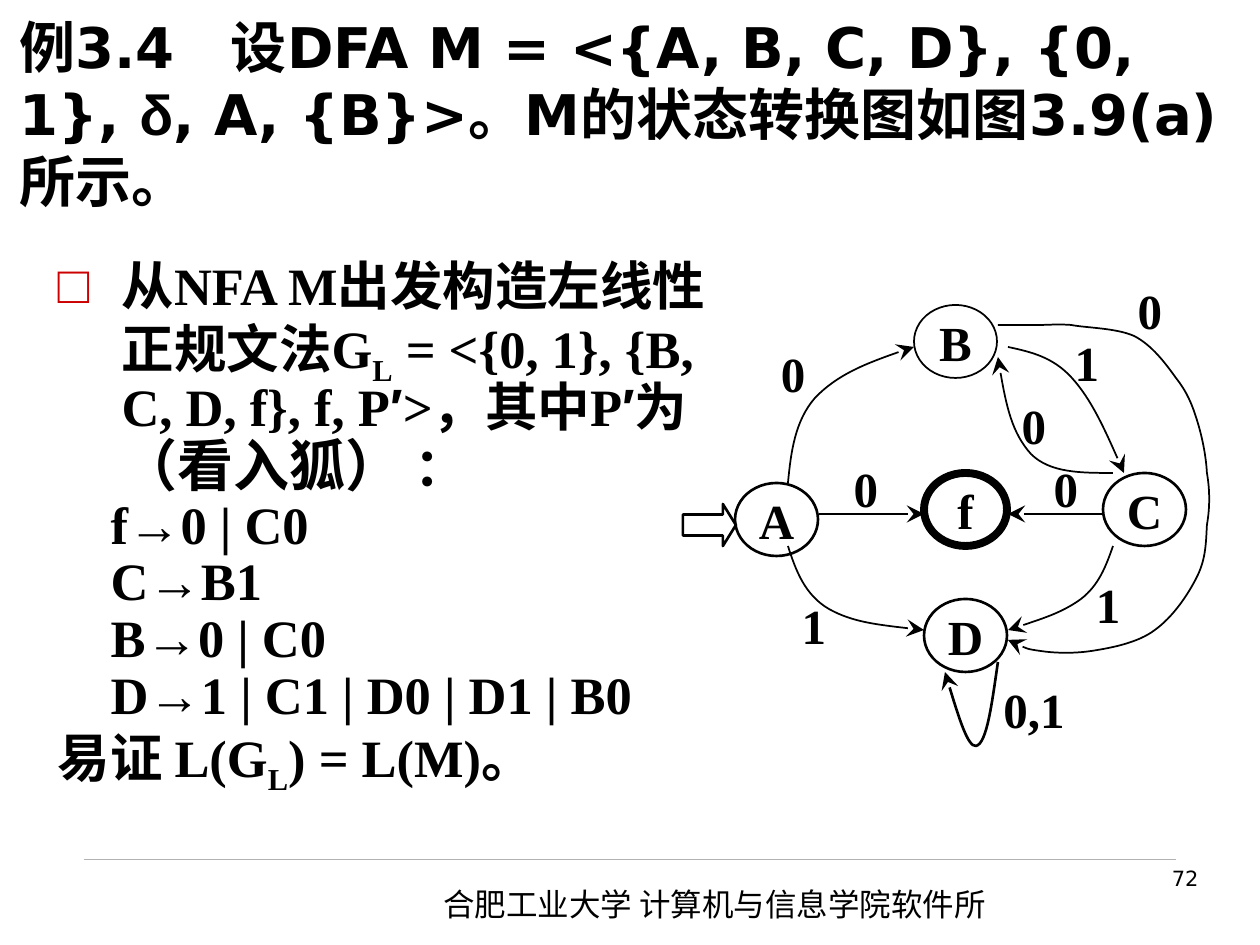
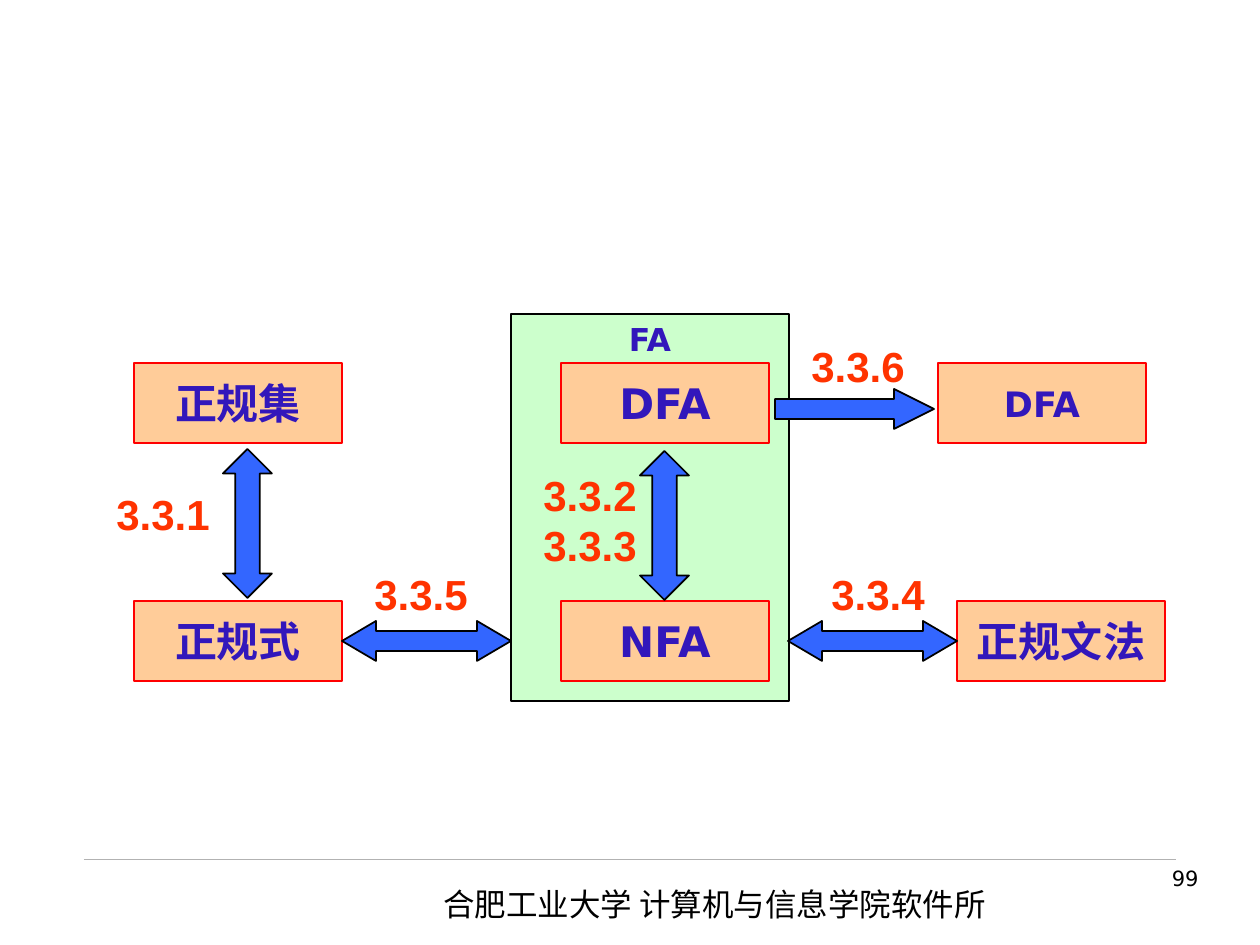
from dataclasses import dataclass

from lxml import etree
from pptx import Presentation
from pptx.dml.color import RGBColor
from pptx.enum.shapes import MSO_CONNECTOR, MSO_SHAPE
from pptx.enum.text import MSO_ANCHOR, MSO_AUTO_SIZE, PP_ALIGN
from pptx.oxml.ns import qn
from pptx.util import Pt

SCALE = 914400 / 126
STRAIGHT = MSO_CONNECTOR.STRAIGHT
RECTANGLE, OVAL = MSO_SHAPE.RECTANGLE, MSO_SHAPE.OVAL
RIGHT_ARROW = MSO_SHAPE.RIGHT_ARROW
LEFT_RIGHT_ARROW, UP_DOWN_ARROW = MSO_SHAPE.LEFT_RIGHT_ARROW, MSO_SHAPE.UP_DOWN_ARROW
TOP, MIDDLE, BOTTOM = MSO_ANCHOR.TOP, MSO_ANCHOR.MIDDLE, MSO_ANCHOR.BOTTOM
LEFT, CENTER, RIGHT = PP_ALIGN.LEFT, PP_ALIGN.CENTER, PP_ALIGN.RIGHT


@dataclass(frozen=True)
class Theme:
    black: str = "000000"
    rule: str = "B2B2B2"
    bullet: str = "CC0000"
    panel: str = "CCFFCC"
    box: str = "FFCC99"
    box_line: str = "FF0000"
    box_text: str = "3217BB"
    arrow: str = "3366FF"
    section: str = "FF3300"
    sans: str = "DejaVu Sans"
    serif: str = "Times New Roman"
    arial: str = "Arial"
    chinese: str = "Noto Sans CJK SC"
    title_size: int = 32
    body_size: int = 30
    aside_size: int = 32
    state_size: int = 28
    box_size: int = 24
    small_box_size: int = 20
    footer_size: int = 18
    number_size: int = 12


theme = Theme()


def px(*lengths):
    """Turn pixel lengths into EMU."""
    return [round(length * SCALE) for length in lengths]


def add_shape(slide, kind, box, lines=(), font=theme.serif, size=theme.state_size,
              color=theme.black, bold=True, align=CENTER, anchor=MIDDLE, wrap=False,
              fill=None, line=theme.black, width=1, adjustments=()):
    """Add a preset shape, or a text box when kind is None, with one run per line."""
    if kind is None:
        shape = slide.shapes.add_textbox(*px(*box))
    else:
        shape = slide.shapes.add_shape(kind, *px(*box))
        shape.shadow.inherit = False
        shape.line.color.rgb = RGBColor.from_string(line)
        shape.line.width = Pt(width)
        for index, value in enumerate(adjustments):
            shape.adjustments[index] = value
        if fill:
            shape.fill.solid()
            shape.fill.fore_color.rgb = RGBColor.from_string(fill)
        else:
            shape.fill.background()
    frame = shape.text_frame
    frame.word_wrap = wrap
    frame.vertical_anchor = anchor
    for index, text in enumerate(lines):
        paragraph = frame.add_paragraph() if index else frame.paragraphs[0]
        paragraph.alignment = align
        run = paragraph.add_run()
        run.text = text
        run.font.name, run.font.size, run.font.bold = font, Pt(size), bold
        run.font.color.rgb = RGBColor.from_string(color)
    return shape


presentation = Presentation()
presentation.slide_width, presentation.slide_height = px(1260, 945)
layouts = presentation.slide_layouts
example_slide = presentation.slides.add_slide(layouts[1])
overview_slide = presentation.slides.add_slide(layouts[6])
connectors = []

# Footer
for slide, number in ((example_slide, "72"), (overview_slide, "99")):
    rule = slide.shapes.add_connector(STRAIGHT, *px(84, 859, 1176, 859))
    rule.line.color.rgb = RGBColor.from_string(theme.rule)
    rule.line.width = Pt(0.5)
    connectors.append(rule)
    add_shape(slide, None, (431, 879, 595, 50), ["合肥工业大学 计算机与信息学院软件所"],
              theme.chinese, theme.footer_size, bold=False, align=LEFT, anchor=TOP, wrap=True)
    add_shape(slide, None, (938, 859, 273, 66), [number],
              theme.sans, theme.number_size, bold=False, align=RIGHT, anchor=TOP, wrap=True)

# Title and grammar: runs are (text, font, size, baseline)
title, body = example_slide.shapes.title, example_slide.placeholders[1]
title_runs = [
    ("例3.4　设DFA M = <{A, B, C, D}, {0, 1}, ", theme.sans, theme.title_size, 0),
    ("δ", theme.arial, theme.title_size, 0),
    (", A, {B}>。M的状态转换图如图3.9(a)所示。", theme.sans, theme.title_size, 0),
]
serif = (theme.serif, theme.body_size, 0)
subscript = (theme.serif, theme.body_size, -25000)
prime = ("′", theme.arial, theme.body_size, 0)
grammar = [
    (64, -64, [
        ("从NFA M出发构造左线性正规文法G", *serif), ("L", *subscript),
        (" = <{0, 1}, {B, C, D, f}, f, P", *serif), prime, (">，其中P", *serif), prime,
        ("为", *serif), ("（看入狐） ", theme.serif, theme.aside_size, 0), ("：", *serif)]),
    *((113, -60, [(production, *serif)])
      for production in ("f→0 | C0", "C→B1", "B→0 | C0", "D→1 | C1 | D0 | D1 | B0")),
    (64, -64, [("易证 L(G", *serif), ("L", *subscript), (") = L(M)。", *serif)]),
]
for placeholder, box, anchor, spacing, paragraphs in (
    (title, (7, 62, 1229, 158), BOTTOM, 1.0, [(0, 0, title_runs)]),
    (body, (45, 254, 694, 599), TOP, 0.9, grammar),
):
    placeholder.left, placeholder.top, placeholder.width, placeholder.height = px(*box)
    frame = placeholder.text_frame
    frame.auto_size = MSO_AUTO_SIZE.NONE
    frame.word_wrap = True
    frame.vertical_anchor = anchor
    for index, (margin, indent, runs) in enumerate(paragraphs):
        paragraph = frame.add_paragraph() if index else frame.paragraphs[0]
        paragraph.alignment = LEFT
        paragraph.line_spacing = spacing
        paragraph.space_before = Pt(0)
        properties = paragraph._p.get_or_add_pPr()
        properties.set("marL", str(px(margin)[0]))
        properties.set("indent", str(px(indent)[0]))
        if placeholder is body and index == 0:
            color = etree.SubElement(properties, qn("a:buClr"))
            etree.SubElement(color, qn("a:srgbClr"), val=theme.bullet)
            etree.SubElement(properties, qn("a:buFont"), typeface=theme.serif)
            etree.SubElement(properties, qn("a:buChar"), char="□")
        else:
            etree.SubElement(properties, qn("a:buNone"))
        for text, font, size, baseline in runs:
            run = paragraph.add_run()
            run.text = text
            run.font.name, run.font.size, run.font.bold = font, Pt(size), True
            run.font.color.rgb = RGBColor.from_string(theme.black)
            if baseline:
                run.font._element.set("baseline", str(baseline))

# State diagram
for state, left, top, width in (
    ("A", 735, 483, 1.5), ("B", 914, 305, 1), ("C", 1103, 473, 1.5),
    ("D", 924, 599, 1.5), ("f", 924, 473, 4.5),
):
    add_shape(example_slide, OVAL, (left, top, 83, 73), [state], width=width)
add_shape(example_slide, RIGHT_ARROW, (683, 504, 53, 42), width=1.5, adjustments=(0.5, 0.31))
for symbol, left, top in (
    ("1", 1029, 325), ("0", 735, 336), ("0,1", 976, 672), ("1", 756, 588), ("1", 1050, 567),
    ("0", 976, 388), ("0", 1092, 273), ("0", 808, 451), ("0", 1008, 451),
):
    add_shape(example_slide, None, (left, top, 116, 73), [symbol])

transitions = []
for start, end in ((819, 924), (1103, 1008)):
    connector = example_slide.shapes.add_connector(STRAIGHT, *px(start, 514, end, 514))
    connectors.append(connector)
    transitions.append((connector, 1))

# Each curve is a start point followed by Bézier triples
curves = [
    (1.5, [(998, 662), (992, 703), (987, 744), (976, 746), (968, 747), (956, 709), (945, 672)]),
    (1, [(788, 483), (791, 452), (795, 421), (815, 398), (837, 375), (874, 360), (914, 347)]),
    (1, [(788, 546), (796, 571), (805, 595), (829, 609), (852, 622), (887, 626), (924, 630)]),
    (1, [(1113, 473), (1081, 473), (1050, 473), (1031, 454),
         (1012, 433), (1004, 396), (998, 357)]),
    (1, [(1008, 347), (1031, 352), (1053, 357), (1072, 378),
         (1091, 399), (1108, 436), (1124, 473)]),
    (1, [(1113, 546), (1106, 566), (1099, 585), (1081, 599),
         (1063, 612), (1036, 621), (1008, 630)]),
    (1, [(998, 325), (1012, 325), (1027, 325), (1040, 325), (1052, 325), (1055, 324),
         (1071, 325), (1086, 328), (1116, 328), (1134, 336), (1152, 345), (1166, 364),
         (1176, 378), (1187, 392), (1192, 404), (1197, 420), (1202, 436), (1206, 455),
         (1207, 473), (1210, 490), (1210, 508), (1207, 525), (1206, 543), (1206, 559),
         (1197, 577), (1188, 595), (1173, 617), (1155, 630), (1138, 643), (1111, 648),
         (1092, 651), (1072, 654), (1053, 653), (1040, 651), (1026, 649), (1017, 645),
         (1008, 640)]),
]
for width, points in curves:
    builder = example_slide.shapes.build_freeform(*points[0], scale=SCALE)
    builder.add_line_segments(points[1:], close=False)
    curve = builder.convert_to_shape()
    curve.shadow.inherit = False
    curve.fill.background()
    segments = curve.element.findall(".//" + qn("a:lnTo"))
    for first in range(0, len(segments), 3):
        triple = segments[first:first + 3]
        bezier = etree.SubElement(triple[0].getparent(), qn("a:cubicBezTo"))
        for segment in triple:
            bezier.append(segment[0])
            segment.getparent().remove(segment)
    transitions.append((curve, width))

for transition, width in transitions:
    transition.line.color.rgb = RGBColor.from_string(theme.black)
    transition.line.width = Pt(width)
    outline = transition.element.spPr.find(qn("a:ln"))
    etree.SubElement(outline, qn("a:tailEnd"), type="stealth", w="lg", len="lg")

for connector in connectors:
    etree.SubElement(connector.element.spPr, qn("a:effectLst"))

# Overview of equivalent forms
add_shape(overview_slide, RECTANGLE, (511, 314, 278, 387), ["FA"], theme.sans,
          theme.footer_size, theme.box_text, anchor=TOP, fill=theme.panel)
for name, left, top, size in (
    ("正规集", 134, 363, theme.box_size), ("正规式", 134, 601, theme.box_size),
    ("DFA", 561, 363, theme.box_size), ("NFA", 561, 601, theme.box_size),
    ("正规文法", 957, 601, theme.box_size), ("DFA", 938, 363, theme.small_box_size),
):
    add_shape(overview_slide, RECTANGLE, (left, top, 208, 80), [name], theme.sans, size,
              theme.box_text, fill=theme.box, line=theme.box_line)
for kind, box, adjustments in (
    (LEFT_RIGHT_ARROW, (342, 621, 169, 40), (0.5, 0.85)),
    (LEFT_RIGHT_ARROW, (788, 621, 169, 40), (0.5, 0.85)),
    (UP_DOWN_ARROW, (223, 449, 49, 149), (0.6, 0.5)),
    (UP_DOWN_ARROW, (640, 451, 49, 149), (0.6, 0.5)),
    (RIGHT_ARROW, (775, 389, 159, 40), (0.5, 1)),
):
    add_shape(overview_slide, kind, box, fill=theme.arrow, adjustments=adjustments)
for sections, left, top, height in (
    (["3.3.1"], 98, 482, 63), (["3.3.2", "3.3.3"], 525, 463, 113),
    (["3.3.4"], 813, 562, 63), (["3.3.5"], 356, 562, 63), (["3.3.6"], 793, 334, 63),
):
    add_shape(overview_slide, None, (left, top, 130, height), sections, theme.arial,
              theme.box_size, theme.section, anchor=TOP)

presentation.save("out.pptx")
